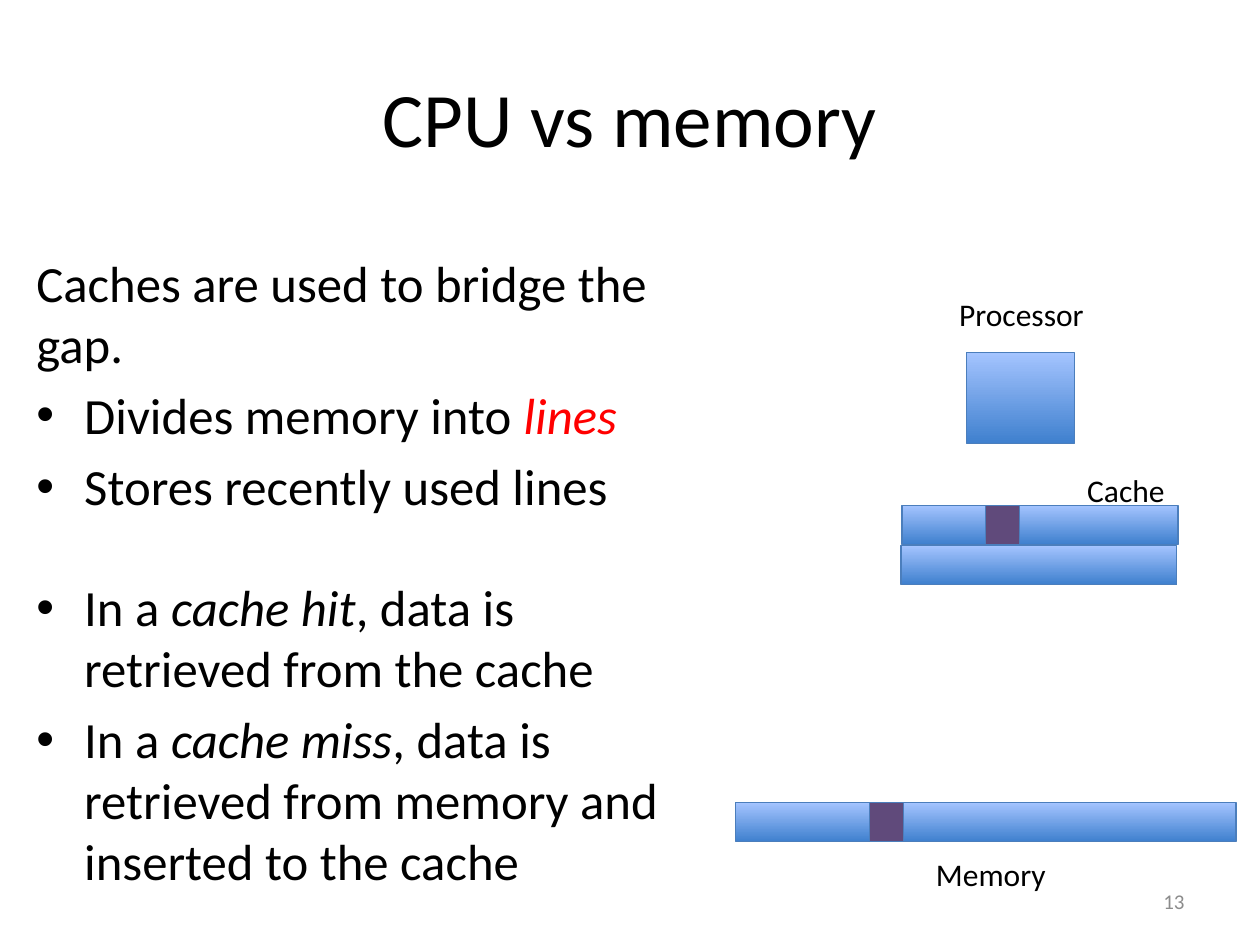
import dataclasses

import lxml.etree
import pptx
import pptx.dml.color
import pptx.enum.shapes
import pptx.enum.text
import pptx.oxml.ns
import pptx.util

Inches = pptx.util.Inches
Align = pptx.enum.text.PP_ALIGN
Anchor = pptx.enum.text.MSO_ANCHOR


@dataclasses.dataclass(frozen=True)
class Theme:
    font: str = "Calibri"
    ink: str = "000000"
    accent: str = "FF0000"
    muted: str = "8C8C8C"
    bar_bottom: str = "3F80CE"
    bar_top: str = "A4C4FF"
    line_block: str = "604A7B"
    outline: str = "4B7EBC"
    outline_width: float = 0.75
    title_size: float = 44
    body_size: float = 29
    label_size: float = 18
    number_size: float = 12


def rgb(value):
    return pptx.dml.color.RGBColor.from_string(value)


def add_text(paragraph, text, *, font, size, color, italic=False):
    run = paragraph.add_run()
    run.text = text
    run.font.name = font
    run.font.size = pptx.util.Pt(size)
    run.font.color.rgb = rgb(color)
    run.font.italic = italic


class CacheSlide:
    """Draws styled elements on the current slide."""

    def __init__(self, deck, theme):
        self.theme = theme
        self.slide = deck.slides.add_slide(deck.slide_layouts[5])

    def title(self, text, left, top, width, height):
        heading = self.slide.shapes.title
        heading.left, heading.top = Inches(left), Inches(top)
        heading.width, heading.height = Inches(width), Inches(height)
        heading.text_frame.vertical_anchor = Anchor.MIDDLE
        paragraph = heading.text_frame.paragraphs[0]
        paragraph.alignment = Align.CENTER
        add_text(paragraph, text, font=self.theme.font,
                 size=self.theme.title_size, color=self.theme.ink)

    def frame(self, left, top, width, height, wrap=True):
        box = self.slide.shapes.add_textbox(
            Inches(left), Inches(top), Inches(width), Inches(height))
        box.text_frame.word_wrap = wrap
        return box.text_frame

    def label(self, text, left, top, width, height=0.4, *, align=Align.LEFT,
              size=None, color=None, anchor=Anchor.TOP, wrap=False):
        frame = self.frame(left, top, width, height, wrap)
        frame.vertical_anchor = anchor
        paragraph = frame.paragraphs[0]
        paragraph.alignment = align
        add_text(paragraph, text, font=self.theme.font,
                 size=size or self.theme.label_size,
                 color=color or self.theme.ink)

    def body(self, intro, points, left, top, width, height):
        frame = self.frame(left, top, width, height)
        style = {"font": self.theme.font, "size": self.theme.body_size}
        add_text(frame.paragraphs[0], intro, color=self.theme.ink, **style)
        for gap, runs in points:
            paragraph = frame.add_paragraph()
            paragraph.space_before = pptx.util.Pt(gap)
            self.bullet(paragraph)
            for text, color, italic in runs:
                add_text(paragraph, text, color=color, italic=italic, **style)

    def bullet(self, paragraph, indent=0.38):
        properties = paragraph._p.get_or_add_pPr()
        properties.set("marL", str(Inches(indent)))
        properties.set("indent", str(-Inches(indent)))
        qn = pptx.oxml.ns.qn
        lxml.etree.SubElement(properties, qn("a:buFont")).set("typeface", "Arial")
        lxml.etree.SubElement(properties, qn("a:buChar")).set("char", "•")

    def block(self, left, top, width, height, color=None):
        unit = self.slide.shapes.add_shape(
            pptx.enum.shapes.MSO_SHAPE.RECTANGLE,
            Inches(left), Inches(top), Inches(width), Inches(height))
        unit.shadow.inherit = False
        unit.line.color.rgb = rgb(self.theme.outline)
        unit.line.width = pptx.util.Pt(self.theme.outline_width)
        if color:
            unit.fill.solid()
            unit.fill.fore_color.rgb = rgb(color)
            return
        unit.fill.gradient()
        unit.fill.gradient_angle = 90
        shades = (self.theme.bar_bottom, self.theme.bar_top)
        for stop, shade in zip(unit.fill.gradient_stops, shades):
            stop.color.rgb = rgb(shade)


def main():
    deck = pptx.Presentation()
    deck.slide_width, deck.slide_height = Inches(10), Inches(7.5)
    theme = Theme()
    page = CacheSlide(deck, theme)
    ink = theme.ink
    close, apart = 5.8, 34.4
    bar_height, line_width = 0.31, 0.27
    cache_top, memory_top = 4.01, 6.37

    page.block(7.67, 2.8, 0.86, 0.72)
    page.title("CPU vs memory", 0.5, 0.3, 9, 1.25)
    page.body("Caches are used to bridge the gap.", [
        (close, [("Divides memory into ", ink, False),
                 ("lines", theme.accent, True)]),
        (close, [("Stores recently used lines", ink, False)]),
        (apart, [("In a ", ink, False), ("cache hit", ink, True),
                 (", data is retrieved from the cache", ink, False)]),
        (close, [("In a ", ink, False), ("cache miss", ink, True),
                 (", data is retrieved from memory and inserted to the cache",
                  ink, False)]),
    ], 0.19, 1.95, 5.32, 4.95)
    page.label("Processor", 7.5, 2.29, 1.2, align=Align.RIGHT)
    page.block(5.84, memory_top, 3.97, bar_height)
    page.label("Memory", 7.33, 6.74, 1.08)
    page.block(7.16, cache_top, 2.19, bar_height)
    page.block(7.82, cache_top, line_width, bar_height, theme.line_block)
    page.label("Cache", 8.53, 3.69, 0.82)
    page.label("13", 7.17, 6.95, 2.33, align=Align.RIGHT, color=theme.muted,
               size=theme.number_size, anchor=Anchor.MIDDLE, wrap=True)
    page.block(6.9, memory_top, line_width, bar_height, theme.line_block)
    page.block(7.15, 4.33, 2.19, bar_height)
    deck.save("out.pptx")


if __name__ == "__main__":
    main()
